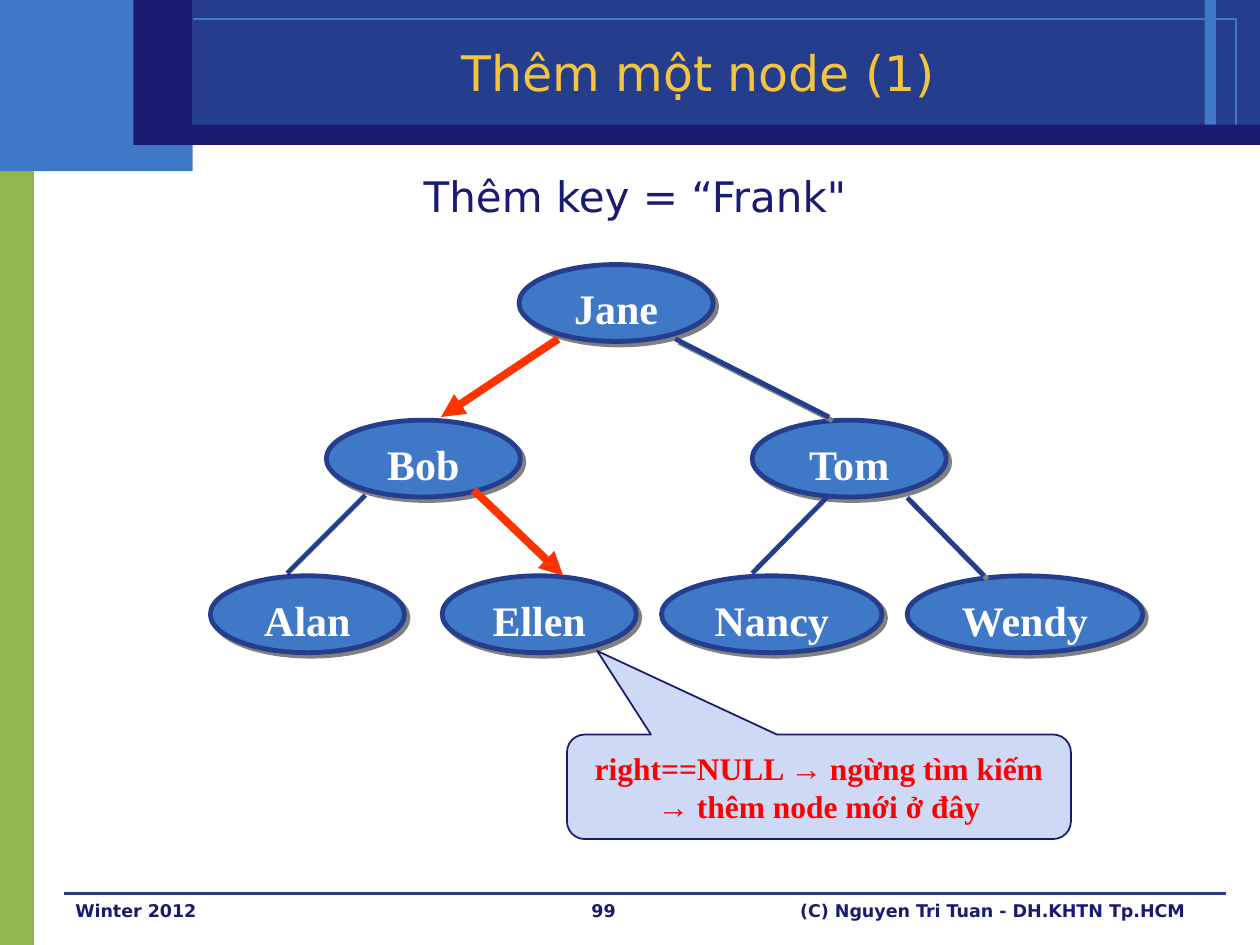
from lxml.etree import SubElement
from pptx import Presentation
from pptx.dml.color import RGBColor
from pptx.enum.shapes import MSO_CONNECTOR, MSO_SHAPE
from pptx.enum.text import MSO_ANCHOR, PP_ALIGN
from pptx.oxml.ns import qn
from pptx.util import Inches, Pt

BLUE, ROYAL, NAVY = "3E78C6", "243D8C", "1A1A70"
GREEN, GOLD, WHITE = "90B54D", "F3C43F", "FFFFFF"
ORANGE, RED, PALE, GREY = "FF3300", "FF0000", "CED9F6", "808080"
SANS, SERIF = "DejaVu Sans", "Times New Roman"

NODE_H, LEVEL_GAP = 0.61, 1.235
# name, left, level, width; relative to the tree box
NODES = [
    ("Jane", 2.45, 0, 1.54),
    ("Tom", 4.3, 1, 1.54),
    ("Bob", 0.92, 1, 1.54),
    ("Alan", 0, 2, 1.54),
    ("Ellen", 1.84, 2, 1.54),
    ("Wendy", 5.53, 2, 1.87),
    ("Nancy", 3.58, 2, 1.75),
]
# start x, y, end x, y, has shadow
BRANCHES = [
    (3.69, 0.59, 4.91, 1.21, True),
    (5.53, 1.85, 6.14, 2.47, True),
    (4.3, 2.45, 4.91, 1.83, False),
    (0.61, 2.45, 1.23, 1.83, False),
]
SEARCH_STEPS = [(2.76, 0.59, 1.83, 1.21), (2.09, 1.79, 2.8, 2.47)]


def rgb(color):
    return RGBColor.from_string(color)


def set_effects(sp, shadow):
    """Give the shape a hard grey shadow, or switch inherited effects off."""
    effects = SubElement(sp._element.spPr, qn("a:effectLst"))
    if shadow:
        outer = SubElement(effects, qn("a:outerShdw"), blurRad="0",
                           dist=str(Pt(2.8)), dir="2700000", algn="ctr", rotWithShape="0")
        SubElement(outer, qn("a:srgbClr"), val=GREY)


def add_shape(s, kind, left, top, width, height, fill=None, line=None, weight=0, shadow=False):
    sp = s.shapes.add_shape(kind, *map(Inches, (left, top, width, height)))
    if fill:
        sp.fill.solid()
        sp.fill.fore_color.rgb = rgb(fill)
    else:
        sp.fill.background()
    if line:
        sp.line.color.rgb = rgb(line)
        sp.line.width = Pt(weight)
    else:
        sp.line.fill.background()
    set_effects(sp, shadow)
    return sp


def add_line(s, x1, y1, x2, y2, color, weight, shadow=False, arrow=False):
    cn = s.shapes.add_connector(MSO_CONNECTOR.STRAIGHT, *map(Inches, (x1, y1, x2, y2)))
    cn.line.color.rgb = rgb(color)
    cn.line.width = Pt(weight)
    if arrow:
        SubElement(cn.line._get_or_add_ln(), qn("a:tailEnd"), type="triangle")
    set_effects(cn, shadow)


def write(sp, text, color, size, name=SANS, bold=False, align=PP_ALIGN.CENTER,
          anchor=MSO_ANCHOR.MIDDLE):
    tf = sp.text_frame
    tf.word_wrap = True
    tf.vertical_anchor = anchor
    p = tf.paragraphs[0]
    p.alignment = align
    r = p.add_run()
    r.text = text
    r.font.color.rgb = rgb(color)
    for key, value in {"name": name, "size": Pt(size), "bold": bold}.items():
        setattr(r.font, key, value)
    return p


def add_text(s, left, top, width, height, text, color, size, **formats):
    tb = s.shapes.add_textbox(*map(Inches, (left, top, width, height)))
    return write(tb, text, color, size, **formats)


def add_banner(s, left, top):
    for x, y, w, h, fill, line in [
        (0, 1.06, 0.27, 6.44, GREEN, None),
        (0, 0, 1.53, 1.36, BLUE, None),
        (1.53, 0, 8.47, 1.15, ROYAL, None),
        (9.56, 0, 0.09, 1, BLUE, None),
        (0.2, 0.15, 9.61, 0.85, None, BLUE),
        (1.3, 0.99, 8.7, 0.16, NAVY, None),
        (1.06, 0, 0.47, 1.15, NAVY, None),
    ]:
        add_shape(s, MSO_SHAPE.RECTANGLE, left + x, top + y, w, h, fill, line)
    add_text(s, left + 1.5, top + 0.26, 8.08, 0.62, "Thêm một node (1)", GOLD, 28)


def add_footer(s, left, top):
    add_line(s, left + 0.01, top, left + 9.23, top, ROYAL, 0)
    for x, w, text, align in [
        (0, 2.33, "Winter 2012", PP_ALIGN.LEFT),
        (3.5, 1.58, "99", PP_ALIGN.CENTER),
        (5.42, 3.58, "(C) Nguyen Tri Tuan - DH.KHTN Tp.HCM", PP_ALIGN.RIGHT),
    ]:
        add_text(s, left + x, top, w, 0.42, text, NAVY, 10, bold=True,
                 align=align, anchor=MSO_ANCHOR.TOP)


def add_tree(s, left, top):
    for name, x, level, width in NODES:
        sp = add_shape(s, MSO_SHAPE.OVAL, left + x, top + level * LEVEL_GAP, width, NODE_H,
                       BLUE, ROYAL, 2.75, shadow=True)
        sp.text_frame.margin_top = Inches(0.08)
        sp.text_frame.margin_bottom = 0
        write(sp, name, WHITE, 24, name=SERIF, bold=True)
    for x1, y1, x2, y2, shadow in BRANCHES:
        add_line(s, left + x1, top + y1, left + x2, top + y2, ROYAL, 2.75, shadow=shadow)
    for x1, y1, x2, y2 in SEARCH_STEPS:
        add_line(s, left + x1, top + y1, left + x2, top + y2, ORANGE, 4.5, arrow=True)


def add_callout(s, left, top):
    sp = add_shape(s, MSO_SHAPE.ROUNDED_RECTANGULAR_CALLOUT, left, top, 4, 0.83, PALE, NAVY, 1)
    for i, value in enumerate((-0.44, -1.3, 0.17)):
        sp.adjustments[i] = value
    write(sp, "right==NULL → ngừng tìm kiếm → thêm node mới ở đây", RED, 18,
          name=SERIF, bold=True)


def main():
    prs = Presentation()
    prs.slide_width, prs.slide_height = Inches(10), Inches(7.5)
    s = prs.slides.add_slide(prs.slide_layouts[6])
    add_banner(s, 0, 0)
    add_footer(s, 0.5, 7.09)
    p = add_text(s, 2.25, 1.38, 5.58, 0.38, 'Thêm key = “Frank"', NAVY, 24,
                 anchor=MSO_ANCHOR.TOP)
    p.line_spacing = 0.8
    add_tree(s, 1.67, 2.1)
    add_callout(s, 4.5, 5.83)
    prs.save("out.pptx")


if __name__ == "__main__":
    main()
